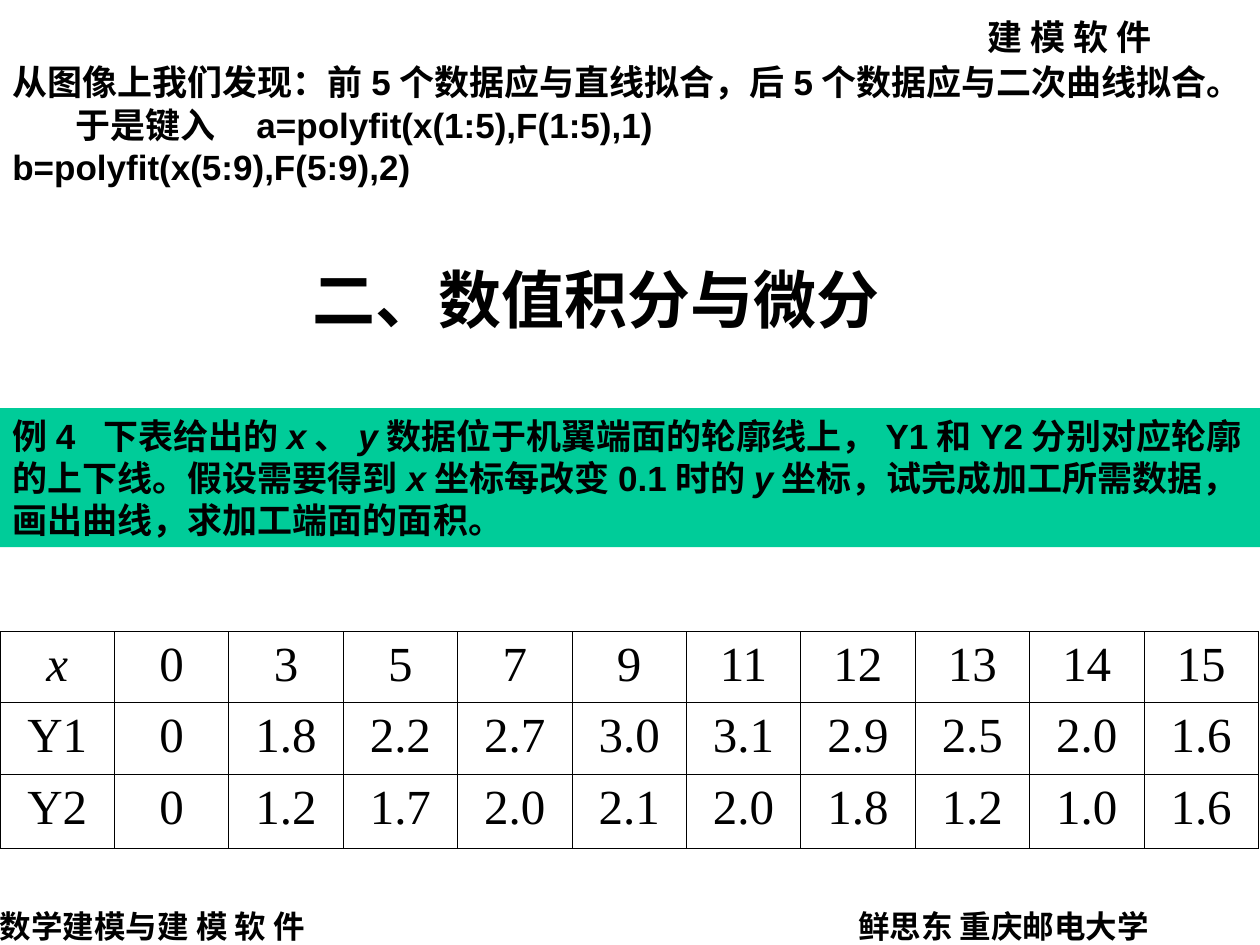
from dataclasses import dataclass

from lxml.etree import SubElement
from pptx import Presentation
from pptx.dml.color import RGBColor
from pptx.enum.shapes import MSO_SHAPE
from pptx.enum.text import MSO_ANCHOR as ANCHOR, MSO_AUTO_SIZE as AUTO, PP_ALIGN as ALIGN
from pptx.oxml.ns import qn
from pptx.util import Cm, Pt


@dataclass(frozen=True)
class Theme:
    """Colours, fonts and type sizes of the slide."""
    ink: RGBColor = RGBColor(0, 0, 0)
    paper: RGBColor = RGBColor(255, 255, 255)
    accent: RGBColor = RGBColor(0x00, 0xCC, 0x99)
    sans: str = "Arial"
    serif: str = "Times New Roman"
    cjk: str = "Noto Sans CJK SC"
    cjk_footer: str = "Noto Sans CJK JP"
    title: int = 36
    table: int = 28
    body: int = 20
    footer: int = 18
    border: float = 0.45


THEME = Theme()
PAGE_W, PAGE_H = Cm(25.4), Cm(19.05)
SPACE_EM = 0.28

INTRO = [
    [("从图像上我们发现：前5个数据应与直线拟合，后5个数据应与二次曲线拟合。于是键入", ""),
     (" ", "gap3.5"), ("a=polyfit(x(1:5),F(1:5),1)", "")],
    [("b=polyfit(x(5:9),F(5:9),2)", "")],
]
EXAMPLE = [[
    ("例4", ""), (" ", "gap2"), ("下表给出的", ""), ("x", "i"), ("、", ""), ("y", "i"),
    ("数据位于机翼端面的轮廓线上，Y1和Y2分别对应轮廓的上下线。假设需要得到", ""),
    ("x", "i"), ("坐标每改变0.1时的", ""), ("y", "i"),
    ("坐标，试完成加工所需数据，画出曲线，求加工端面的面积。", ""),
]]
PROFILE = [
    "x 0 3 5 7 9 11 12 13 14 15".split(),
    "Y1 0 1.8 2.2 2.7 3.0 3.1 2.9 2.5 2.0 1.6".split(),
    "Y2 0 1.2 1.7 2.0 2.1 2.0 1.8 1.2 1.0 1.6".split(),
]


def style_run(r, size, font, cjk=THEME.cjk, bold=True, style=""):
    """Format a run; style is empty, "i" for italic or "gapN" for a space N wide."""
    r.font.size = Pt(size)
    r.font.bold = bold
    r.font.italic = style == "i"
    r.font.color.rgb = THEME.ink
    r.font.name = font
    rPr = r.font._element
    rPr.find(qn("a:latin")).addnext(rPr.makeelement(qn("a:ea"), {"typeface": cjk}))
    if style.startswith("gap"):
        extra = float(style[3:]) - 1
        rPr.set("spc", str(round(extra * SPACE_EM * size * 100)))


def fill_text(tf, paragraphs, size, font=THEME.sans, cjk=THEME.cjk,
              align=ALIGN.LEFT, hanging=0):
    """Write paragraphs of (text, style) runs into a text frame."""
    tf.word_wrap = True
    tf.auto_size = AUTO.NONE
    tf.vertical_anchor = ANCHOR.MIDDLE
    for n, runs in enumerate(paragraphs):
        p = tf.add_paragraph() if n else tf.paragraphs[0]
        p.alignment = align
        if hanging:
            pPr = p._p.get_or_add_pPr()
            pPr.set("marL", str(hanging))
            pPr.set("indent", str(-hanging))
        for text, style in runs:
            r = p.add_run()
            r.text = text
            style_run(r, size, font, cjk, style=style)


def fill_label(sp, text, size, cjk=THEME.cjk):
    """Write one line into a shape without insets."""
    tf = sp.text_frame
    tf.margin_left = tf.margin_right = tf.margin_top = tf.margin_bottom = 0
    fill_text(tf, [[(text, "")]], size, cjk, cjk)


def add_rect(slide, left, top, width, height, color):
    """Add a filled rectangle without outline or shadow."""
    sp = slide.shapes.add_shape(MSO_SHAPE.RECTANGLE, left, top, width, height)
    sp.shadow.inherit = False
    sp.fill.solid()
    sp.fill.fore_color.rgb = color
    sp.line.fill.background()
    return sp


def add_footer(slide, left, text, cjk=THEME.cjk):
    """Add a footer line at the bottom of the slide."""
    sp = slide.shapes.add_textbox(left, Cm(18.29), Cm(7.29), Cm(0.76))
    fill_label(sp, text, THEME.footer, cjk)


def add_intro(slide):
    """Add the opening text with hanging indents."""
    sp = slide.shapes.add_textbox(0, Cm(1.1), PAGE_W, Cm(2.8))
    fill_text(sp.text_frame, INTRO, THEME.body, hanging=Cm(1.27))


def set_title(slide, text):
    """Place and format the title placeholder."""
    sp = slide.shapes.title
    sp.left, sp.top, sp.width, sp.height = Cm(0.9), Cm(5.13), Cm(22.5), Cm(1.78)
    fill_text(sp.text_frame, [[(text, "")]], THEME.title, align=ALIGN.CENTER)


def add_borders(cell):
    """Draw a thin line on all four sides of a cell."""
    tcPr = cell._tc.get_or_add_tcPr()
    for side in ("a:lnL", "a:lnR", "a:lnT", "a:lnB"):
        ln = SubElement(tcPr, qn(side), w=str(Pt(THEME.border)))
        fill = SubElement(ln, qn("a:solidFill"))
        SubElement(fill, qn("a:srgbClr"), val=str(THEME.ink))


def add_profile_table(slide, rows):
    """Add the table of profile coordinates."""
    width, heights = Cm(25.37), (Cm(1.43), Cm(1.45), Cm(1.5))
    table = slide.shapes.add_table(len(rows), len(rows[0]), 0, Cm(12.73),
                                   width, sum(heights)).table
    table.first_row = table.horz_banding = False
    for col in table.columns:
        col.width = width // len(rows[0])
    for row, height, values in zip(table.rows, heights, rows):
        row.height = height
        for cell, value in zip(row.cells, values):
            add_borders(cell)
            cell.fill.background()
            cell.text_frame.text = value
            p = cell.text_frame.paragraphs[0]
            p.alignment = ALIGN.CENTER
            style_run(p.runs[0], THEME.table, THEME.serif, bold=False,
                      style="i" if value == "x" else "")


def main():
    """Build the slide and save it."""
    prs = Presentation()
    prs.slide_width, prs.slide_height = PAGE_W, PAGE_H
    slide = prs.slides.add_slide(prs.slide_layouts[5])
    header = add_rect(slide, Cm(19.91), Cm(0.31), Cm(4.45), Cm(0.84), THEME.paper)
    fill_label(header, "建 模 软 件", THEME.body)
    add_footer(slide, 0, "数学建模与建 模 软 件", THEME.cjk_footer)
    add_footer(slide, Cm(17.3), "鲜思东 重庆邮电大学")
    add_intro(slide)
    set_title(slide, "二、数值积分与微分 ")
    example = add_rect(slide, 0, Cm(8.23), PAGE_W, Cm(2.8), THEME.accent)
    fill_text(example.text_frame, EXAMPLE, THEME.body)
    add_profile_table(slide, PROFILE)
    prs.save("out.pptx")


if __name__ == "__main__":
    main()
